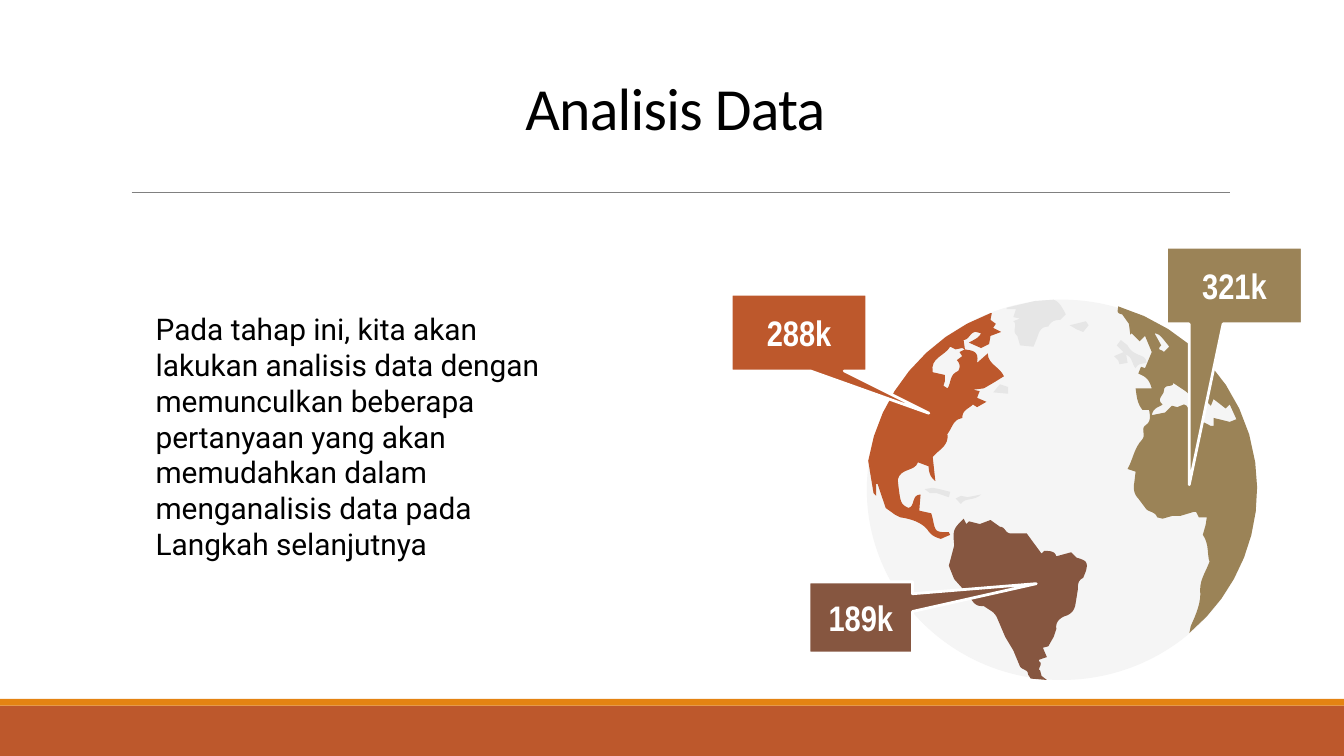
from pptx import Presentation
from pptx.dml.color import RGBColor
from pptx.enum.shapes import MSO_CONNECTOR, MSO_SHAPE
from pptx.enum.text import MSO_ANCHOR, PP_ALIGN
from pptx.oxml.ns import qn
from pptx.util import Inches, Pt
from lxml import etree

RECT, OVAL = MSO_SHAPE.RECTANGLE, MSO_SHAPE.OVAL
CALLOUT = MSO_SHAPE.RECTANGULAR_CALLOUT
CENTER, LEFT = PP_ALIGN.CENTER, PP_ALIGN.LEFT
MIDDLE = MSO_ANCHOR.MIDDLE

COLORS = {"rust": "BD582C", "orange": "E48312", "rule": "808080", "ocean": "F5F5F5",
          "ice": "E6E6E6", "olive": "9B8357", "brown": "865640",
          "white": "FFFFFF", "black": "000000"}

TITLE = "Analisis Data"
BODY = ("Pada tahap ini, kita akan lakukan analisis data dengan memunculkan beberapa "
        "pertanyaan yang akan memudahkan dalam menganalisis data pada Langkah selanjutnya")

# Label, fill, box, pointer offset as a share of the box
CALLOUTS = [
    ("189k", "brown", (6.02, 4.33, 0.77, 0.53), (1.696, -0.474)),
    ("321k", "olive", (8.68, 1.84, 1.01, 0.57), (-0.333, 2.6)),
    ("288k", "rust", (5.44, 2.19, 1.01, 0.57), (0.957, 1.053)),
]

# Outlines in inches: two numbers are a corner, six are a Bezier curve.
# The first contour is the land, any others are seas cut out of it.
GREENLAND = [(7.84, 2.23), (7.7, 2.24), (7.49, 2.29), (7.49, 2.3), (7.56, 2.3), (7.54, 2.36),
             (7.59, 2.37), (7.54, 2.39), (7.58, 2.42, 7.52, 2.46, 7.57, 2.5), (7.59, 2.57),
             (7.69, 2.58), (7.71, 2.53), (7.73, 2.49, 7.73, 2.43, 7.8, 2.43),
             (7.82, 2.39, 7.85, 2.38, 7.89, 2.38), (7.93, 2.34), (7.91, 2.3, 7.89, 2.26, 7.86, 2.24)]
BRITAIN = [(8.34, 2.53), (8.31, 2.57), (8.36, 2.62), (8.38, 2.64),
           (8.43, 2.66, 8.42, 2.71, 8.45, 2.74), (8.47, 2.7, 8.5, 2.71, 8.53, 2.7),
           (8.53, 2.66, 8.5, 2.65, 8.47, 2.64), (8.43, 2.62, 8.41, 2.61, 8.39, 2.57)]
ICELAND = [(8.08, 2.39), (7.96, 2.42), (8.01, 2.45), (8.06, 2.47), (8.1, 2.42)]
IRELAND = [(8.36, 2.62), (8.29, 2.65), (8.32, 2.68), (8.33, 2.71), (8.39, 2.7), (8.38, 2.64)]
CUBA = [(6.94, 3.63), (6.88, 3.64), (6.92, 3.67), (6.97, 3.67), (7.06, 3.7), (7.07, 3.66),
        (6.99, 3.64)]
HISPANIOLA = [(7.3, 3.68), (7.2, 3.7), (7.15, 3.69), (7.11, 3.71), (7.15, 3.75),
              (7.18, 3.7, 7.25, 3.73, 7.3, 3.68)]
NEWFOUNDLAND = [(7.44, 2.86), (7.39, 2.92), (7.5, 2.93), (7.5, 2.88)]

EUROPE_AFRICA = [
    (8.32, 2.28), (8.32, 2.31, 8.3, 2.33, 8.35, 2.34), (8.4, 2.41), (8.41, 2.49), (8.42, 2.48),
    (8.48, 2.54), (8.52, 2.5), (8.57, 2.62), (8.52, 2.74), (8.49, 2.73), (8.47, 2.78),
    (8.54, 2.81, 8.55, 2.83, 8.57, 2.89), (8.45, 2.89), (8.46, 2.98, 8.47, 3.01, 8.5, 3.05),
    (8.55, 3.05), (8.56, 3.1, 8.56, 3.14, 8.53, 3.16), (8.48, 3.19, 8.53, 3.23, 8.5, 3.27),
    (8.44, 3.33, 8.43, 3.42, 8.39, 3.49), (8.45, 3.51), (8.44, 3.59),
    (8.43, 3.64, 8.44, 3.68, 8.47, 3.71), (8.53, 3.79), (8.55, 3.81, 8.6, 3.81, 8.61, 3.85),
    (8.65, 3.86), (8.72, 3.84), (8.78, 3.84), (8.88, 3.81), (8.9, 3.81), (8.92, 3.85),
    (8.98, 3.85), (8.97, 3.91), (8.95, 3.98), (9, 4.05, 8.98, 4.13, 9, 4.18),
    (8.97, 4.26, 8.93, 4.31, 8.93, 4.39), (8.94, 4.48, 8.9, 4.57, 8.86, 4.66), (8.85, 4.71),
    (9.21, 4.41, 9.41, 3.94, 9.34, 3.44), (9.26, 2.87, 8.85, 2.44, 8.32, 2.28)]
BALTIC = [(8.59, 2.48), (8.63, 2.49, 8.63, 2.49, 8.7, 2.58), (8.66, 2.62),
          (8.65, 2.6, 8.6, 2.61, 8.64, 2.57)]
MEDITERRANEAN = [
    (8.73, 2.85), (8.82, 2.91), (8.89, 2.97), (8.85, 2.99), (8.92, 3.03), (8.91, 2.9),
    (8.96, 2.97), (9.01, 3.02), (9.03, 2.97), (9.12, 3.04), (9.15, 3.01), (9.2, 3.12),
    (9.15, 3.14), (9.03, 3.11), (9.03, 3.17), (9.01, 3.17), (8.93, 3.13), (8.91, 3.13),
    (8.87, 3.09), (8.83, 3.02), (8.81, 3.01), (8.76, 3.03), (8.72, 3.02), (8.67, 3.07),
    (8.57, 3.09), (8.58, 3.03, 8.63, 3.03, 8.65, 3.01), (8.6, 2.97, 8.66, 2.94, 8.66, 2.91),
    (8.66, 2.85, 8.73, 2.89, 8.73, 2.85)]
NORTH_AMERICA = [
    (7.37, 2.33), (6.89, 2.51, 6.54, 2.93, 6.46, 3.43), (6.5, 3.67), (6.52, 3.69), (6.52, 3.6),
    (6.53, 3.6), (6.59, 3.78), (6.66, 3.83), (6.7, 3.85), (6.78, 3.86, 6.86, 3.89, 6.9, 3.94),
    (6.93, 3.99, 6.97, 4, 7, 4.01), (7.07, 3.98), (7.06, 3.96),
    (6.96, 3.96, 6.96, 3.96, 6.94, 3.86), (6.93, 3.82), (6.84, 3.8), (6.85, 3.68),
    (6.78, 3.68, 6.81, 3.77, 6.76, 3.78), (6.7, 3.75, 6.7, 3.75, 6.68, 3.57),
    (6.7, 3.48, 6.81, 3.51, 6.83, 3.44), (6.91, 3.47), (6.91, 3.51, 6.92, 3.55, 6.96, 3.58),
    (6.94, 3.4), (6.96, 3.38), (7, 3.34, 7.06, 3.31, 7.05, 3.23),
    (7.08, 3.19, 7.09, 3.14, 7.13, 3.12), (7.16, 3.11), (7.16, 3.05, 7.21, 3.04, 7.24, 3.01),
    (7.27, 3.03), (7.34, 2.99), (7.27, 2.96), (7.29, 2.91), (7.24, 2.9), (7.32, 2.89),
    (7.39, 2.85), (7.47, 2.8), (7.44, 2.73, 7.35, 2.71, 7.35, 2.63), (7.27, 2.7),
    (7.29, 2.6, 7.22, 2.61, 7.18, 2.6), (7.14, 2.62), (7.16, 2.65), (7.12, 2.68),
    (7.16, 2.72, 7.13, 2.76, 7.13, 2.76), (7.06, 2.79, 7.08, 2.85, 7.05, 2.89), (7.02, 2.87),
    (7.03, 2.84), (7.03, 2.79), (6.94, 2.77), (6.92, 2.66, 7.03, 2.65, 7.07, 2.58), (7.11, 2.6),
    (7.16, 2.59), (7.18, 2.6), (7.17, 2.53), (7.21, 2.53, 7.22, 2.47, 7.26, 2.47), (7.3, 2.48),
    (7.28, 2.52, 7.24, 2.53, 7.21, 2.55), (7.3, 2.59), (7.36, 2.56), (7.37, 2.5), (7.45, 2.47),
    (7.39, 2.44), (7.41, 2.41), (7.37, 2.38), (7.38, 2.33)]
SOUTH_AMERICA = [
    (7.17, 3.86), (7.09, 3.94, 7.09, 3.94, 7.1, 4.06), (7.06, 4.21), (7.1, 4.31), (7.19, 4.41),
    (7.23, 4.45, 7.24, 4.51, 7.3, 4.51), (7.32, 4.51), (7.36, 4.54, 7.4, 4.55, 7.42, 4.6),
    (7.48, 4.74), (7.54, 4.84), (7.59, 4.96), (7.61, 4.99, 7.65, 4.98, 7.65, 5.02), (7.67, 5.05),
    (7.79, 5.06), (7.75, 5.03), (7.74, 4.99), (7.71, 4.98, 7.77, 4.94, 7.73, 4.92), (7.73, 4.91),
    (7.79, 4.89), (7.76, 4.82), (7.8, 4.81), (7.84, 4.74), (7.86, 4.68),
    (7.85, 4.62, 7.9, 4.59, 7.94, 4.58), (7.98, 4.56, 7.99, 4.54, 8, 4.51), (8.02, 4.39),
    (8.02, 4.35, 8.02, 4.32, 8.06, 4.3), (8.08, 4.25), (8.1, 4.18, 8.08, 4.17, 8.01, 4.15),
    (7.97, 4.11), (7.86, 4.14), (7.85, 4.1, 7.81, 4.1, 7.77, 4.1), (7.75, 4.12), (7.64, 3.97),
    (7.52, 3.97), (7.48, 3.97, 7.48, 3.92, 7.44, 3.92), (7.37, 3.87), (7.29, 3.9), (7.21, 3.88),
    (7.19, 3.9)]

LANDS = [("ice", [land]) for land in (GREENLAND, BRITAIN, ICELAND, IRELAND)] + [
    ("olive", [EUROPE_AFRICA, BALTIC, MEDITERRANEAN]),
    ("rust", [NORTH_AMERICA]),
    ("brown", [SOUTH_AMERICA]),
] + [("ice", [land]) for land in (CUBA, HISPANIOLA, NEWFOUNDLAND)]


def rgb(name):
    return RGBColor.from_string(COLORS[name])


def paint(sp, fill):
    sp.shadow.inherit = False
    sp.fill.solid()
    sp.fill.fore_color.rgb = rgb(fill)
    sp.line.fill.background()


def add_box(s, kind, box, fill):
    sp = s.shapes.add_shape(kind, *map(Inches, box))
    paint(sp, fill)
    return sp


def write(sp, text, font, size, color, align, wrap=True, bold=False):
    tf = sp.text_frame
    tf.text = text
    tf.word_wrap = wrap
    tf.vertical_anchor = MIDDLE
    tf.margin_left = tf.margin_right = tf.margin_top = tf.margin_bottom = Inches(0.1)
    p = tf.paragraphs[0]
    p.alignment = align
    r = p.runs[0]
    r.font.name, r.font.size, r.font.bold = font, Pt(size), bold
    r.font.color.rgb = rgb(color)
    return p


def flatten(contour, steps=8):
    """Turn corners and Bezier curves into a list of EMU points."""
    points = [contour[0]]
    for part in contour[1:]:
        if len(part) == 2:
            points.append(part)
            continue
        knots = [points[-1], part[:2], part[2:4], part[4:]]
        for t in (i / steps for i in range(1, steps + 1)):
            weights = ((1 - t) ** 3, 3 * t * (1 - t) ** 2, 3 * t * t * (1 - t), t ** 3)
            points.append(tuple(sum(w * k[axis] for w, k in zip(weights, knots))
                                for axis in (0, 1)))
    return [(Inches(x), Inches(y)) for x, y in points]


def add_land(s, contours, fill):
    first, *seas = map(flatten, contours)
    builder = s.shapes.build_freeform(*first[0])
    builder.add_line_segments(first[1:])
    for sea in seas:
        builder.move_to(*sea[0])
        builder.add_line_segments(sea[1:])
    paint(builder.convert_to_shape(), fill)


prs = Presentation()
prs.slide_width = Inches(10)
prs.slide_height = prs.slide_width * 9 // 16
s = prs.slides.add_slide(prs.slide_layouts[5])

# Footer bands and title rule
add_box(s, RECT, (0, 5.25, 10, 0.38), "rust")
add_box(s, RECT, (0, 5.2, 10, 0.05), "orange")
rule = s.shapes.add_connector(MSO_CONNECTOR.STRAIGHT, *map(Inches, (0.98, 1.43, 9.15, 1.43)))
rule.line.color.rgb = rgb("rule")
rule.line.width = Pt(0.5)
etree.SubElement(rule._element.spPr, qn("a:effectLst"))

# Globe
add_box(s, OVAL, (6.45, 2.23, 2.9, 2.83), "ocean")
for fill, contours in LANDS:
    add_land(s, contours, fill)

# Title and body
title = s.shapes.title
title.left, title.top, title.width, title.height = map(Inches, (0.9, 0.24, 8.25, 1.19))
p = write(title, TITLE, "Calibri", 32, "black", CENTER)
p.line_spacing = 0.85
p.runs[0].font._element.set("spc", "-40")
body = s.shapes.add_textbox(*map(Inches, (1.06, 1.63, 3.35, 3.23)))
write(body, BODY, "Roboto", 16, "black", LEFT)

# Callouts
for label, fill, box, pointer in CALLOUTS:
    sp = add_box(s, CALLOUT, box, fill)
    sp.adjustments[0], sp.adjustments[1] = pointer
    sp.line.color.rgb = rgb("white")
    sp.line.width = Pt(1.5)
    write(sp, label, "Arial Narrow", 19, "white", CENTER, wrap=False, bold=True)

prs.save("out.pptx")
